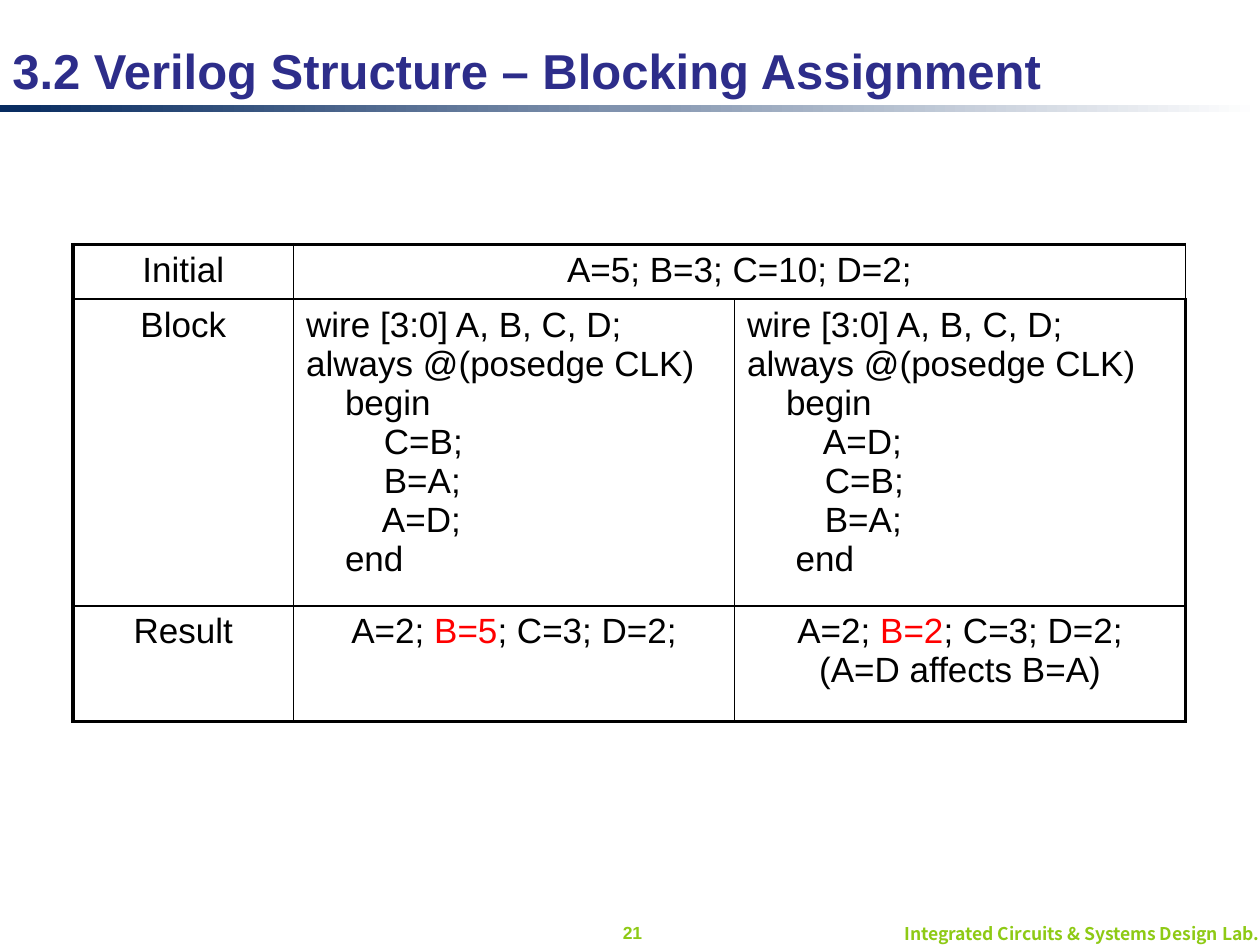
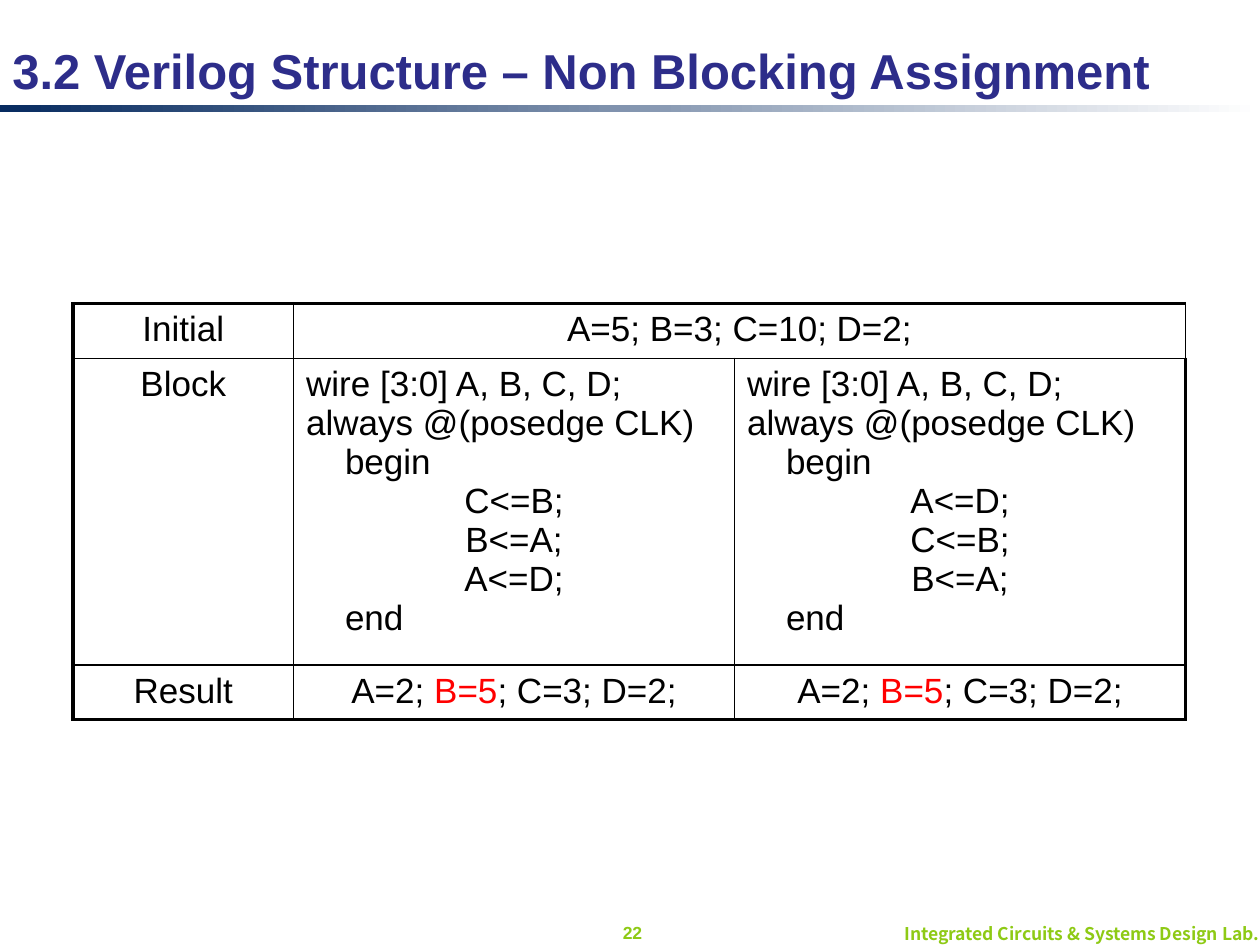
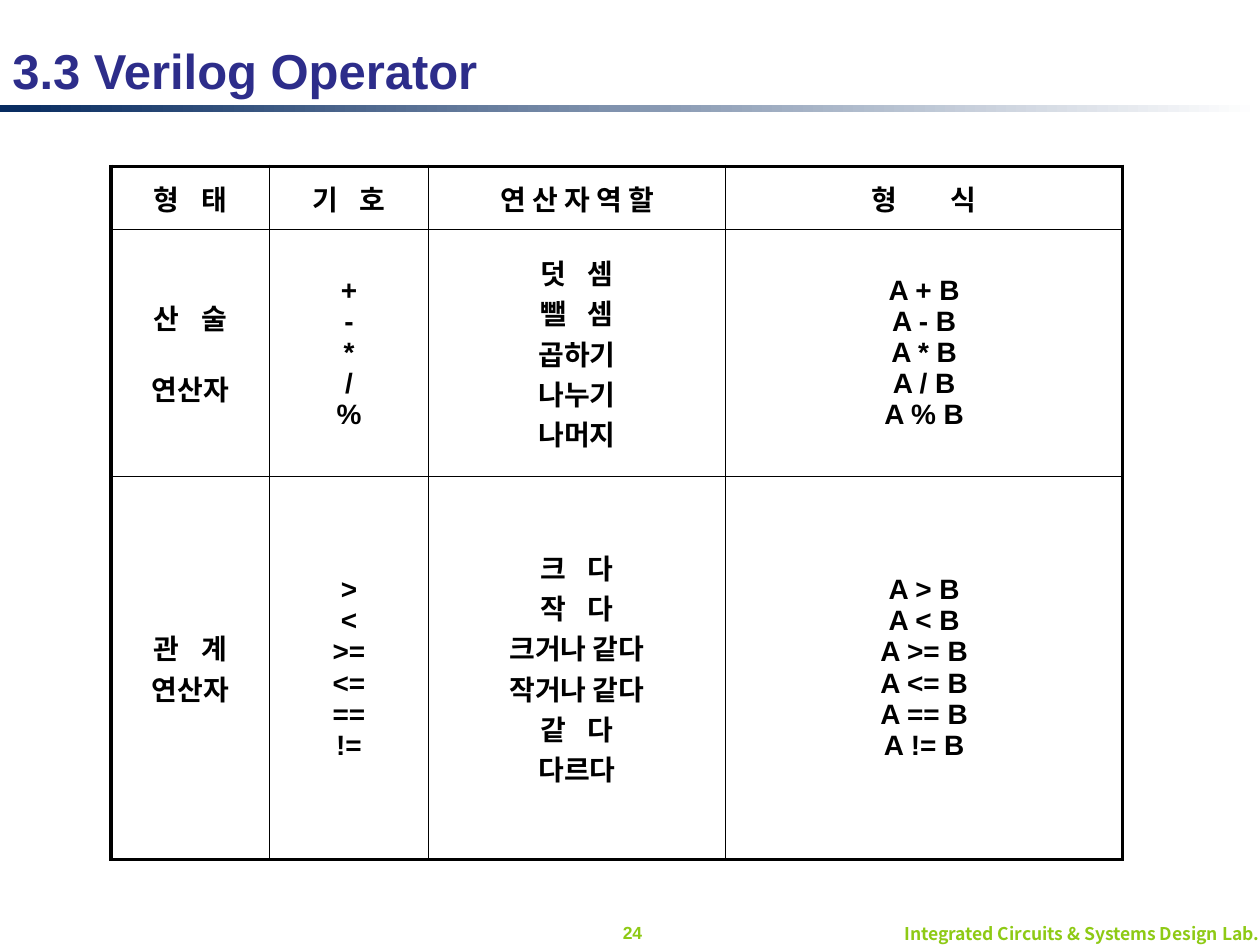
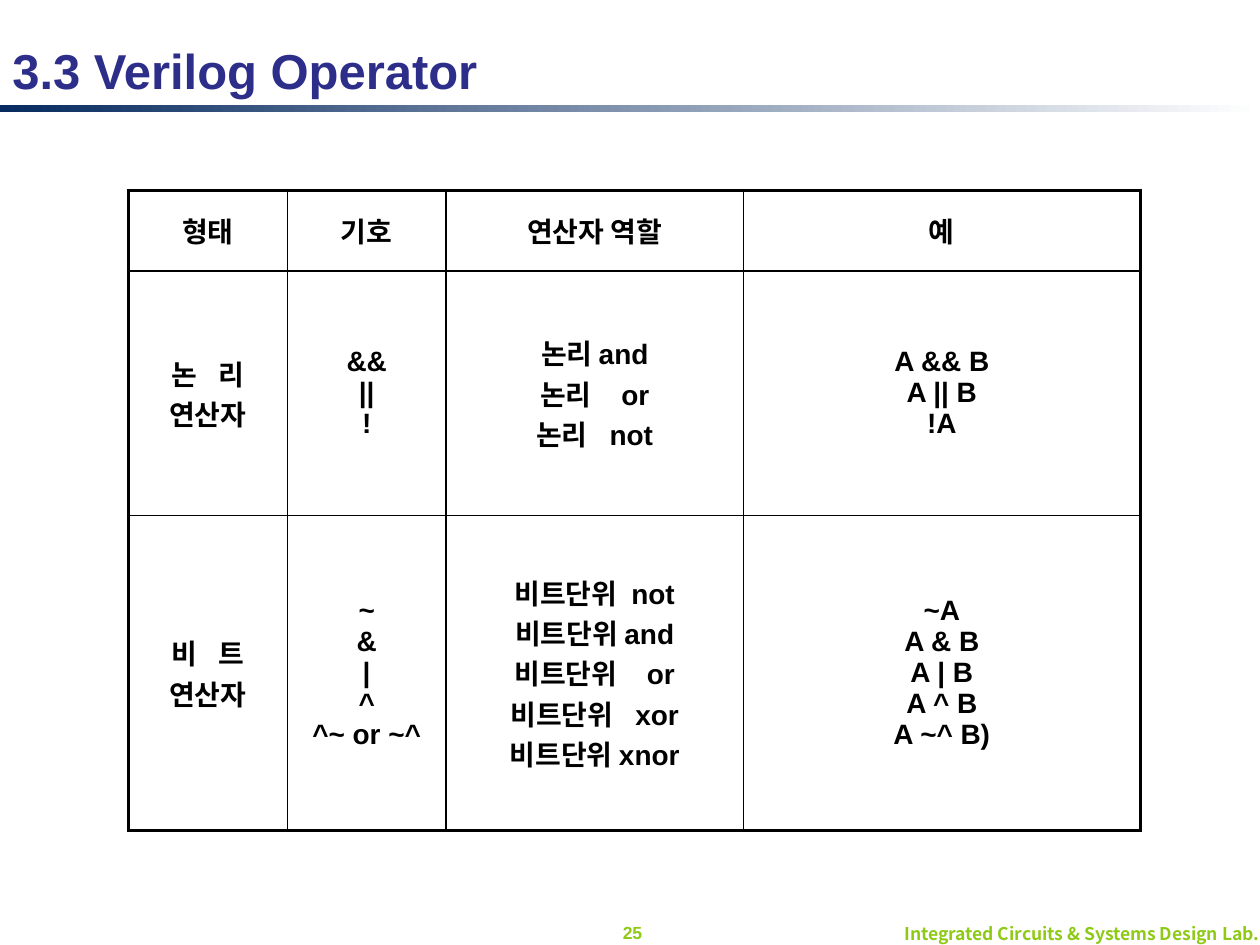
import dataclasses
import lxml.etree
import pptx
import pptx.dml.color
import pptx.enum.shapes
import pptx.enum.text
import pptx.oxml.ns
import pptx.util

Inches = pptx.util.Inches
Pt = pptx.util.Pt
Align = pptx.enum.text.PP_ALIGN
Anchor = pptx.enum.text.MSO_ANCHOR
qn = pptx.oxml.ns.qn


@dataclasses.dataclass(frozen=True)
class Theme:
    latin: str = "Arial"
    asian: str = "Noto Sans CJK KR"
    ink: str = "000000"
    hot: str = "FF0000"
    title: str = "2D2D8A"
    foot: str = "8ECA15"
    band: str = "072B60"
    paper: str = "FFFFFF"
    title_size: int = 28
    code_size: int = 20
    op_size: int = 16
    foot_size: int = 10
    space: float = 4.45
    thick: float = 2.25
    thin: float = 1


THEME = Theme()
CODE_COLS = (1.75, 3.5, 3.58)
OP_COLS = (1.26, 1.26, 2.36, 3.15)


def rgb(color):
    return pptx.dml.color.RGBColor.from_string(color)


def style(run, size, color=THEME.ink, bold=False, face=THEME.latin):
    font = run.font
    font.size = Pt(size)
    font.bold = bold
    font.color.rgb = rgb(color)
    font.name = face
    asian = lxml.etree.SubElement(run._r.get_or_add_rPr(), qn("a:ea"))
    asian.set("typeface", THEME.asian)


def label(slide, text, box, size, color, align=Align.LEFT,
          anchor=Anchor.MIDDLE, face=THEME.latin):
    frame = slide.shapes.add_textbox(*map(Inches, box)).text_frame
    frame.text = text
    frame.word_wrap = True
    frame.vertical_anchor = anchor
    para = frame.paragraphs[0]
    para.alignment = align
    style(para.runs[0], size, color, True, face)


def band(slide):
    bar = slide.shapes.add_shape(pptx.enum.shapes.MSO_SHAPE.RECTANGLE,
                                 *map(Inches, (0, 0.83, 10, 0.06)))
    bar.shadow.inherit = False
    bar.line.fill.background()
    bar.fill.gradient()
    bar.fill.gradient_angle = 0
    for stop, color, place in zip(bar.fill.gradient_stops,
                                  (THEME.band, THEME.paper), (0, 1)):
        stop.color.rgb = rgb(color)
        stop.position = place


def page(deck, title, number):
    slide = deck.slides.add_slide(deck.slide_layouts[6])
    band(slide)
    label(slide, "Integrated Circuits & Systems Design Lab.",
          (0.13, 7.31, 9.96, 0.19), THEME.foot_size, THEME.foot,
          Align.RIGHT, face=THEME.asian)
    label(slide, str(number), (4.63, 7.27, 0.78, 0.27), THEME.foot_size,
          THEME.foot, Align.CENTER, Anchor.TOP)
    label(slide, title, (0, 0.24, 10, 0.63), THEME.title_size, THEME.title)
    return slide


def edges(cell, sides):
    props = cell._tc.get_or_add_tcPr()
    for spot, (side, outer) in enumerate(sides.items()):
        line = lxml.etree.Element(qn("a:ln" + side))
        line.set("w", str(Pt(THEME.thick if outer else THEME.thin)))
        fill = lxml.etree.SubElement(line, qn("a:solidFill"))
        lxml.etree.SubElement(fill, qn("a:srgbClr")).set("val", THEME.ink)
        props.insert(spot, line)


def grid(slide, left, top, cols, rows):
    table = slide.shapes.add_table(
        len(rows), len(cols), Inches(left), Inches(top),
        Inches(sum(cols)), Inches(sum(rows))).table
    table.first_row = table.horz_banding = False
    for col, width in zip(table.columns, cols):
        col.width = Inches(width)
    for row, height in zip(table.rows, rows):
        row.height = Inches(height)
    for y in range(len(rows)):
        for x in range(len(cols)):
            cell = table.cell(y, x)
            cell.fill.background()
            edges(cell, {"L": x == 0, "R": x == len(cols) - 1,
                         "T": y == 0, "B": y == len(rows) - 1})
    return table


def write(cell, lines, size, bold=False, align=Align.CENTER):
    cell.text_frame.text = "\n".join(lines)
    for para in cell.text_frame.paragraphs:
        para.alignment = align
        for run in para.runs:
            style(run, size, bold=bold)


def spread(para, count):
    left, right = para.text.split(" ")
    para.text = left
    for text in (" ", right):
        para.add_run().text = text
    for run in para.runs:
        style(run, THEME.op_size, bold=True)
    extra = round((count - 1) * THEME.space * 100)
    para.runs[1]._r.get_or_add_rPr().set("spc", str(extra))


def result(cell, value, note=()):
    write(cell, ["A=2; ", *note], THEME.code_size)
    para = cell.text_frame.paragraphs[0]
    for text, color in ((value, THEME.hot), ("; C=3; D=2;", THEME.ink)):
        run = para.add_run()
        run.text = text
        style(run, THEME.code_size, color)


def code(cell, body, end="    end", mid=False):
    write(cell, ["wire [3:0] A, B, C, D;", "always @(posedge CLK)",
                 "    begin", *body, end], THEME.code_size, align=Align.LEFT)
    if mid:
        for para in cell.text_frame.paragraphs[3:-1]:
            para.alignment = Align.CENTER


def assign(slide, top, rows):
    table = grid(slide, 0.58, top, CODE_COLS, rows)
    for y, name in enumerate(("Initial", "Block", "Result")):
        write(table.cell(y, 0), [name], THEME.code_size)
    table.cell(0, 1).merge(table.cell(0, 2))
    write(table.cell(0, 1), ["A=5; B=3; C=10; D=2;"], THEME.code_size)
    return table


def operators(slide, left, top, rows, texts, gaps):
    table = grid(slide, left, top, OP_COLS, rows)
    for y, row in enumerate(texts):
        for x, text in enumerate(row):
            cell = table.cell(y, x)
            cell.vertical_anchor = Anchor.MIDDLE
            write(cell, text.split("\n"), THEME.op_size, True)
    for (y, x, line), count in gaps.items():
        spread(table.cell(y, x).text_frame.paragraphs[line], count)
    return table


def main():
    deck = pptx.Presentation()
    deck.slide_width, deck.slide_height = Inches(10), Inches(7.5)

    slide = page(deck, "3.2 Verilog Structure – Blocking Assignment", 21)
    table = assign(slide, 1.94, (0.42, 2.33, 0.92))
    code(table.cell(1, 1), ["        C=B;", "        B=A;", "        A=D;"])
    code(table.cell(1, 2), ["        A=D;", "        C=B;", "        B=A;"],
         "     end")
    result(table.cell(2, 1), "B=5")
    result(table.cell(2, 2), "B=2", ["(A=D affects B=A)"])

    slide = page(deck, "3.2 Verilog Structure – Non Blocking Assignment", 22)
    table = assign(slide, 2.41, (0.43, 2.43, 0.43))
    code(table.cell(1, 1), ["C<=B;", "B<=A;", "A<=D;"], mid=True)
    code(table.cell(1, 2), ["A<=D;", "C<=B;", "B<=A;"], mid=True)
    for x in (1, 2):
        result(table.cell(2, x), "B=5")

    slide = page(deck, "3.3 Verilog Operator", 24)
    table = operators(slide, 0.88, 1.32, (0.5, 1.96, 3.04), (
        ("형 태", "기 호", "연 산 자 역 할", "형 식"),
        ("산 술\n연산자", "+\n-\n*\n/\n%",
         "덧 셈\n뺄 셈\n곱하기\n나누기\n나머지",
         "A + B\nA - B\nA * B\nA / B\nA % B"),
        ("관 계\n연산자", ">\n<\n>=\n<=\n==\n!=",
         "크 다\n작 다\n크거나 같다\n작거나 같다\n같 다\n다르다",
         "A > B\nA < B\nA >= B\nA <= B\nA == B\nA != B"),
    ), {(0, 0, 0): 3, (0, 1, 0): 3, (0, 3, 0): 7, (1, 0, 0): 3,
        (1, 2, 0): 3, (1, 2, 1): 3, (2, 0, 0): 3, (2, 2, 0): 3,
        (2, 2, 1): 3, (2, 2, 4): 3})
    table.cell(1, 0).text_frame.paragraphs[1].space_before = Pt(18)

    slide = page(deck, "3.3 Verilog Operator", 25)
    operators(slide, 1.02, 1.51, (0.64, 1.94, 2.5), (
        ("형태", "기호", "연산자 역할", "예"),
        ("논 리\n연산자", "&&\n||\n!", "논리 and\n논리 or\n논리 not",
         "A && B\nA || B\n!A"),
        ("비 트\n연산자", "~\n&\n|\n^\n^~ or ~^",
         "비트단위 not\n비트단위 and\n비트단위 or\n비트단위 xor\n비트단위 xnor",
         "~A\nA & B\nA | B\nA ^ B\nA ~^ B)"),
    ), {(1, 0, 0): 3, (1, 2, 1): 4, (1, 2, 2): 3, (2, 0, 0): 3,
        (2, 2, 0): 2, (2, 2, 2): 4, (2, 2, 3): 3})

    deck.save("out.pptx")


if __name__ == "__main__":
    main()
